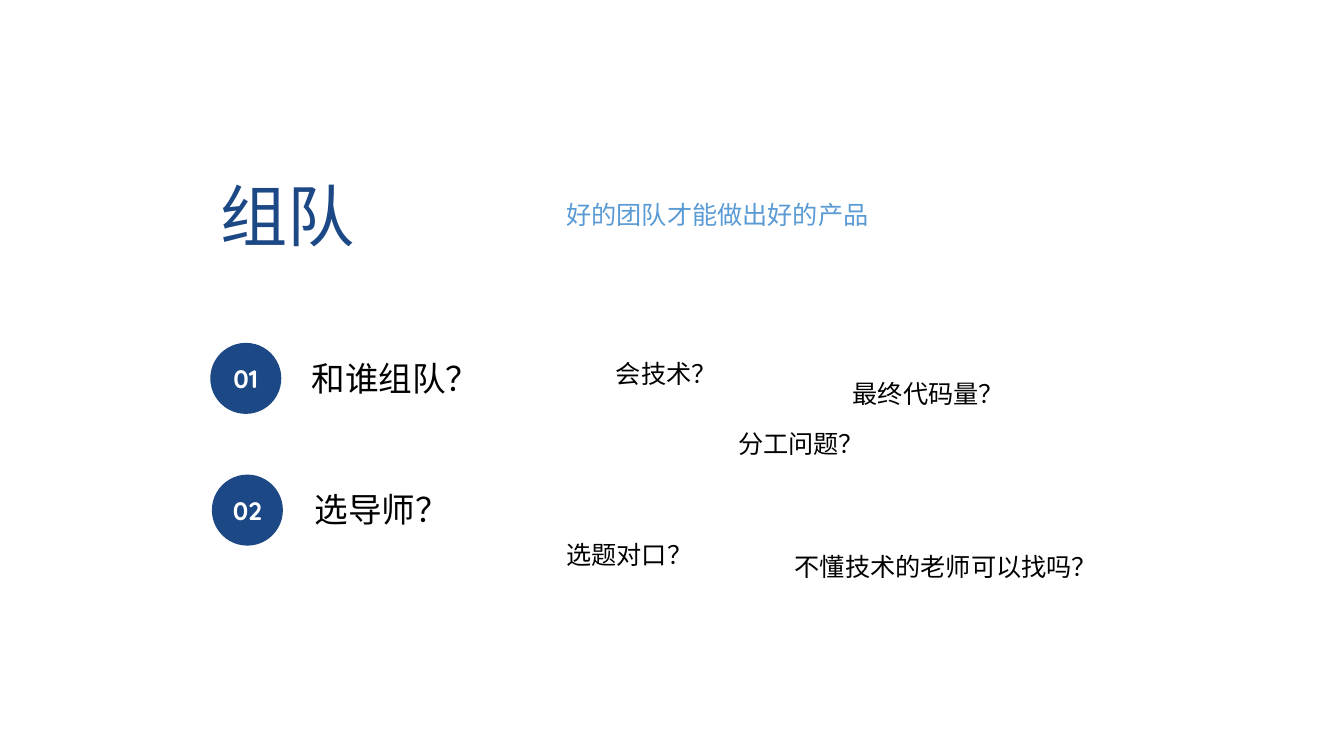
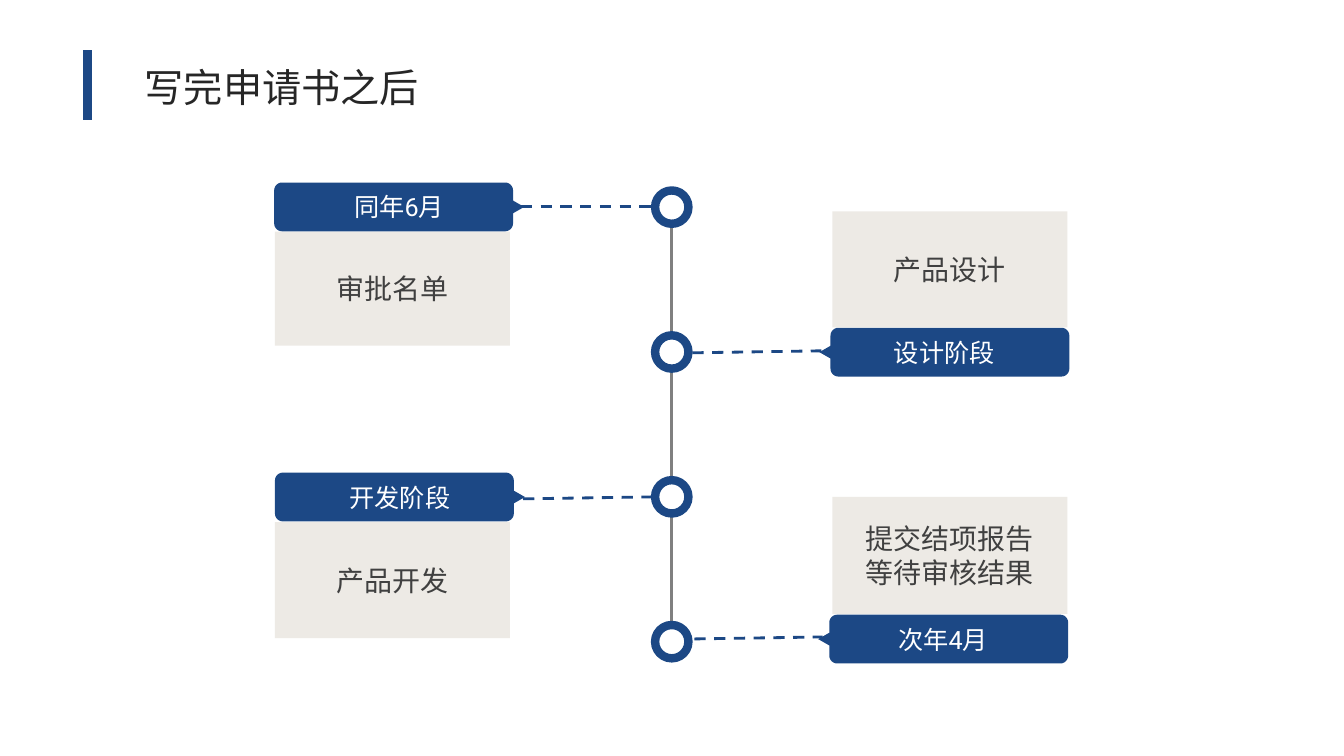
from dataclasses import dataclass
from math import cos, pi, sin

from lxml.etree import SubElement
from pptx import Presentation
from pptx.dml.color import RGBColor
from pptx.enum.dml import MSO_LINE
from pptx.enum.shapes import MSO_CONNECTOR, MSO_SHAPE
from pptx.enum.text import MSO_ANCHOR, MSO_AUTO_SIZE, PP_ALIGN
from pptx.oxml.ns import qn
from pptx.shapes.autoshape import Shape
from pptx.slide import Slide
from pptx.util import Cm, Pt

COLORS = {
    "navy": "1C4885",
    "sky": "5B9BD5",
    "sand": "EDEAE5",
    "white": "FFFFFF",
    "black": "000000",
    "title": "262626",
    "body": "404040",
    "spine": "808080",
}
ROBOTO, NOTO, QUICKSAND = "Roboto", "Noto Sans CJK SC", "Quicksand"


@dataclass(frozen=True)
class Style:
    size: int
    color: str
    font: str = ROBOTO
    align: PP_ALIGN | None = None
    bold: bool | None = None


@dataclass(frozen=True)
class Topic:
    number: str
    text: str
    x: float
    y: float
    text_x: float
    text_y: float


@dataclass(frozen=True)
class Note:
    text: str
    x: float
    y: float
    color: str = "black"


@dataclass(frozen=True)
class Stage:
    label: str
    lines: tuple[str, ...]
    tag_x: float
    tag_y: float
    box_y: float
    box_h: float
    link: tuple[float, float, float, float]
    on_left: bool


HEADING = Style(48, "navy", align=PP_ALIGN.JUSTIFY)
TOPIC = Style(24, "black", align=PP_ALIGN.JUSTIFY)
NUMBER = Style(18, "white", QUICKSAND, PP_ALIGN.CENTER, True)
PAGE_TITLE = Style(28, "title")
BOX = Style(20, "body", align=PP_ALIGN.CENTER)
TAG = Style(18, "white", align=PP_ALIGN.CENTER)

TOPICS = (
    Topic("01", "和谁组队？", 5.3, 8.64, 7.6, 8.9),
    Topic("02", "选导师？", 5.34, 11.96, 7.68, 12.2),
)
NOTES = (
    Note("好的团队才能做出好的产品", 14.02, 4.9, "sky"),
    Note("会技术？", 15.27, 8.9),
    Note("分工问题？", 18.35, 10.68),
    Note("最终代码量？", 21.24, 9.41),
    Note("选题对口？", 14.02, 13.47),
    Note("不懂技术的老师可以找吗？", 19.78, 13.77),
)
STAGES = (
    Stage("同年6月", ("审批名单",), 6.91, 4.6, 5.84, 2.87,
          (13.13, 5.21, 16.51, 5.21), True),
    Stage("设计阶段", ("产品设计",), 20.65, 8.26, 5.33, 2.92,
          (17.45, 8.89, 20.7, 8.84), False),
    Stage("开发阶段", ("产品开发",), 6.93, 11.91, 13.16, 2.92,
          (13.18, 12.57, 16.48, 12.52), True),
    Stage("次年4月", ("提交结项报告", "等待审核结果"), 20.62, 15.49, 12.52, 2.95,
          (17.5, 16.1, 20.73, 16.05), False),
)
BADGE = 1.79
BOX_W, LEFT_BOX_X, RIGHT_BOX_X = 5.92, 6.93, 20.98
TAG_W, TAG_H, TAG_R = 6.3, 1.23, 0.2
NOSE_W, NOSE_H = 0.28, 0.32
SPINE_X, DOT, DOT_Y, DOT_STEP = 16.93, 0.84, 4.8, 3.65


def rgb(name: str) -> RGBColor:
    return RGBColor.from_string(COLORS[name])


def write(sp: Shape, lines: tuple[str, ...], style: Style) -> None:
    tf = sp.text_frame
    for i, line in enumerate(lines):
        p = tf.add_paragraph() if i else tf.paragraphs[0]
        p.add_run().text = line
        p.alignment = style.align
        p.font.size = Pt(style.size)
        p.font.name = style.font
        p.font.bold = style.bold
        p.font.color.rgb = rgb(style.color)
        props = p._p.pPr.find(qn("a:defRPr"))
        SubElement(props, qn("a:ea"), typeface=style.font)


def add_text(s: Slide, text: str, x: float, y: float, w: float, h: float,
             style: Style, wrap: bool = True) -> None:
    sp = s.shapes.add_textbox(Cm(x), Cm(y), Cm(w), Cm(h))
    sp.text_frame.word_wrap = wrap
    sp.text_frame.auto_size = MSO_AUTO_SIZE.SHAPE_TO_FIT_TEXT
    write(sp, (text,), style)


def paint(sp: Shape, fill: str, line: str | None = None) -> None:
    sp.shadow.inherit = False
    sp.fill.solid()
    sp.fill.fore_color.rgb = rgb(fill)
    if line:
        sp.line.color.rgb = rgb(line)
        sp.line.width = Pt(6)
    else:
        sp.line.fill.background()
    sp.text_frame.vertical_anchor = MSO_ANCHOR.MIDDLE


def add_shape(s: Slide, kind: MSO_SHAPE, x: float, y: float, w: float, h: float,
              fill: str, line: str | None = None) -> Shape:
    sp = s.shapes.add_shape(kind, Cm(x), Cm(y), Cm(w), Cm(h))
    paint(sp, fill, line)
    return sp


def add_line(s: Slide, ends: tuple[float, float, float, float], color: str,
             width: float, dashed: bool = False) -> None:
    c = s.shapes.add_connector(MSO_CONNECTOR.STRAIGHT, *map(Cm, ends))
    c.line.color.rgb = rgb(color)
    c.line.width = Pt(width)
    if dashed:
        c.line.dash_style = MSO_LINE.DASH
    SubElement(c._element.spPr, qn("a:effectLst"))


def tag_outline(on_left: bool) -> list[tuple[float, float]]:
    body, mid, steps = TAG_W - NOSE_W, TAG_H / 2, 6
    corners = ((body - TAG_R, TAG_R, -90), (body - TAG_R, TAG_H - TAG_R, 0),
               (TAG_R, TAG_H - TAG_R, 90), (TAG_R, TAG_R, 180))
    points = []
    for i, (cx, cy, start) in enumerate(corners):
        for k in range(steps + 1):
            angle = (start + 90 * k / steps) * pi / 180
            points.append((cx + TAG_R * cos(angle), cy + TAG_R * sin(angle)))
        if i == 0:
            points += [(body, mid - NOSE_H / 2), (TAG_W, mid),
                       (body, mid + NOSE_H / 2)]
    return points if on_left else [(TAG_W - x, y) for x, y in points]


def add_tag(s: Slide, stage: Stage) -> None:
    points = [(Cm(stage.tag_x + x), Cm(stage.tag_y + y))
              for x, y in tag_outline(stage.on_left)]
    fb = s.shapes.build_freeform(*points[0])
    fb.add_line_segments(points[1:], close=True)
    sp = fb.convert_to_shape()
    paint(sp, "navy")
    write(sp, (stage.label,), TAG)


def add_box(s: Slide, stage: Stage) -> None:
    x = LEFT_BOX_X if stage.on_left else RIGHT_BOX_X
    sp = add_shape(s, MSO_SHAPE.RECTANGLE, x, stage.box_y, BOX_W, stage.box_h, "sand")
    write(sp, stage.lines, BOX)


def build_team(s: Slide) -> None:
    add_text(s, "组队", 5.31, 4.27, 6.45, 2.31, HEADING)
    for t in TOPICS:
        sp = add_shape(s, MSO_SHAPE.OVAL, t.x, t.y, BADGE, BADGE, "navy")
        write(sp, (t.number,), NUMBER)
        add_text(s, t.text, t.text_x, t.text_y, 10.29, 1.28, TOPIC)
    for n in NOTES:
        width = len(n.text) * 18 / 72 * 2.54 + 0.51
        add_text(s, n.text, n.x, n.y, width, 1.03, Style(18, n.color, NOTO), False)


def build_timeline(s: Slide) -> None:
    add_text(s, "写完申请书之后", 3.4, 1.47, 10.03, 1.45, PAGE_TITLE)
    add_line(s, (2.21, 1.27, 2.21, 3.02), "navy", 6)
    for stage in STAGES:
        add_box(s, stage)
    add_line(s, (SPINE_X, 4.8, SPINE_X, 16.61), "spine", 2)
    for i, stage in enumerate(STAGES):
        add_shape(s, MSO_SHAPE.OVAL, SPINE_X - DOT / 2, DOT_Y + i * DOT_STEP,
                  DOT, DOT, "white", "navy")
        add_tag(s, stage)
        add_line(s, stage.link, "navy", 2, dashed=True)


prs = Presentation()
prs.slide_width, prs.slide_height = Cm(33.87), Cm(19.05)
for build in (build_team, build_timeline):
    build(prs.slides.add_slide(prs.slide_layouts[6]))
prs.save("out.pptx")
